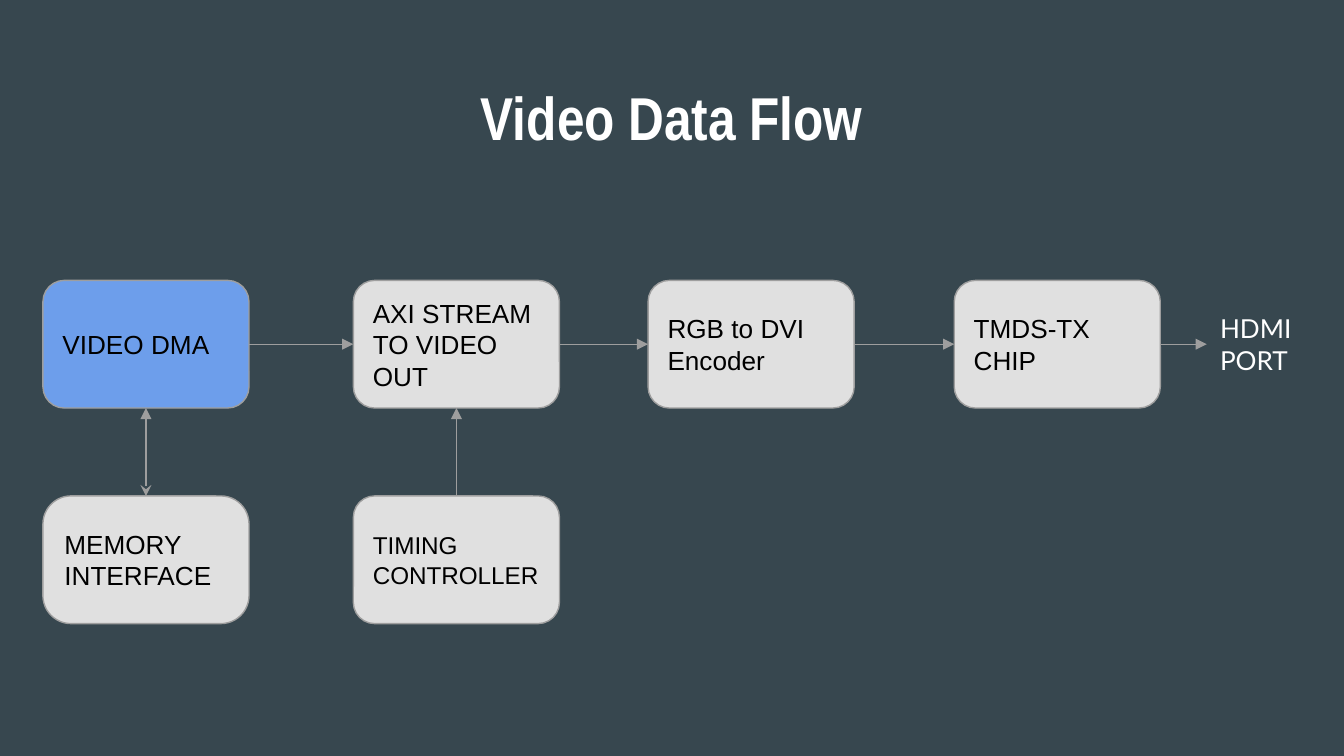
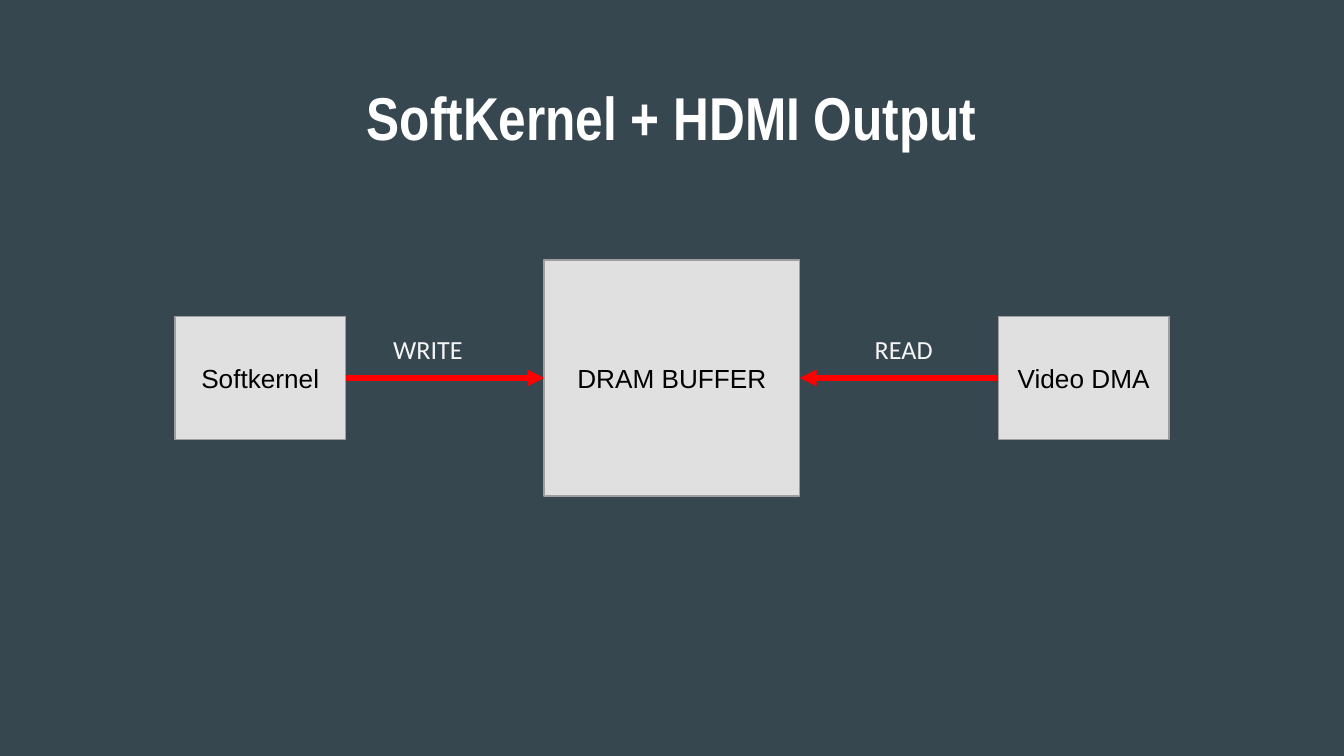
import dataclasses

import pptx
import pptx.dml.color
import pptx.enum.shapes
import pptx.enum.text
import pptx.oxml
import pptx.oxml.ns
import pptx.util

Pt = pptx.util.Pt
RGB = pptx.dml.color.RGBColor.from_string
Shapes = pptx.enum.shapes.MSO_SHAPE
Align = pptx.enum.text.PP_ALIGN
Anchor = pptx.enum.text.MSO_ANCHOR
AutoSize = pptx.enum.text.MSO_AUTO_SIZE


@dataclasses.dataclass(frozen=True)
class Theme:
    background: str = "37474F"
    white: str = "FFFFFF"
    label: str = "F5F5F5"
    ink: str = "000000"
    block: str = "E0E0E0"
    accent: str = "6D9EEB"
    outline: str = "9E9E9E"
    transfer: str = "FF0000"
    title_font: str = "Arial Narrow"
    block_font: str = "Arial"
    port_font: str = "Lato"
    label_font: str = "Calibri"
    title_size: float = 32.4
    body_size: float = 14
    small_size: float = 13
    inset: float = 7.2
    thin: float = 0.75
    thick: float = 3


theme = Theme()

# Connection sites of a rectangle
TOP, LEFT, BOTTOM, RIGHT = range(4)


def add_box(page, kind, text, place, align=Align.LEFT, fill=theme.block,
            font=theme.block_font, size=theme.body_size, color=theme.ink):
    """Add a filled block, or a plain text box when kind is None."""
    lengths = [Pt(value) for value in place]
    if kind is None:
        box = page.shapes.add_textbox(*lengths)
    else:
        box = page.shapes.add_shape(kind, *lengths)
        box.shadow.inherit = False
        box.fill.solid()
        box.fill.fore_color.rgb = RGB(fill)
        box.line.color.rgb = RGB(theme.outline)
        box.line.width = Pt(theme.thin)
    frame = box.text_frame
    frame.word_wrap = True
    frame.auto_size = AutoSize.SHAPE_TO_FIT_TEXT if kind is None else AutoSize.NONE
    frame.vertical_anchor = Anchor.TOP if kind is None else Anchor.MIDDLE
    frame.margin_left = frame.margin_right = Pt(theme.inset)
    frame.margin_top = frame.margin_bottom = Pt(theme.inset)
    for index, words in enumerate(text.split("\n")):
        para = frame.add_paragraph() if index else frame.paragraphs[0]
        para.alignment = align
        span = para.add_run()
        span.text = words
        span.font.name = font
        span.font.size = Pt(size)
        span.font.color.rgb = RGB(color)
    return box


def add_arrow(page, start, start_site, end, end_site,
              color=theme.outline, width=theme.thin, head=None):
    arrow = page.shapes.add_connector(
        pptx.enum.shapes.MSO_CONNECTOR.STRAIGHT, 0, 0, 0, 0)
    arrow.begin_connect(start, start_site)
    arrow.end_connect(end, end_site)
    arrow.line.color.rgb = RGB(color)
    arrow.line.width = Pt(width)
    line = arrow.line._get_or_add_ln()
    for tag, tip in (("a:headEnd", head), ("a:tailEnd", "triangle")):
        if tip:
            mark = pptx.oxml.parse_xml(f"<{tag} {pptx.oxml.ns.nsdecls('a')}/>")
            mark.set("type", tip)
            line.append(mark)
    arrow._element.spPr.append(
        pptx.oxml.parse_xml(f"<a:effectLst {pptx.oxml.ns.nsdecls('a')}/>"))


deck = pptx.Presentation()
deck.slide_width, deck.slide_height = Pt(720), Pt(405)
deck.slide_master.background.fill.solid()
deck.slide_master.background.fill.fore_color.rgb = RGB(theme.background)

pages = []
for heading in ("Video Data Flow", "SoftKernel + HDMI Output"):
    page = deck.slides.add_slide(deck.slide_layouts.get_by_name("Title Only"))
    title = page.shapes.title
    title.left, title.top = Pt(24.5), Pt(35.5)
    title.width, title.height = Pt(671), Pt(45)
    frame = title.text_frame
    frame.word_wrap = True
    frame.auto_size = AutoSize.NONE
    frame.vertical_anchor = Anchor.TOP
    frame.margin_left = frame.margin_right = Pt(theme.inset)
    frame.margin_top = frame.margin_bottom = Pt(theme.inset)
    para = frame.paragraphs[0]
    para.alignment = Align.CENTER
    span = para.add_run()
    span.text = heading
    span.font.name = theme.title_font
    span.font.size = Pt(theme.title_size)
    span.font.bold = True
    span.font.color.rgb = RGB(theme.white)
    pages.append(page)
flow_page, buffer_page = pages

# Video data flow: a chain of stages with two feeding blocks below
stage_width, stage_height = 110.4, 68.4
stage_top, feeder_top = 150.2, 265.7
stages = []
for left, text, fill in (
    (23, "VIDEO DMA", theme.accent),
    (189.3, "AXI STREAM TO VIDEO OUT", theme.block),
    (347.2, "RGB to DVI Encoder", theme.block),
    (511.2, "TMDS-TX CHIP", theme.block),
):
    stages.append(add_box(flow_page, Shapes.ROUNDED_RECTANGLE, text,
                          (left, stage_top, stage_width, stage_height), fill=fill))

port_height = 48
port = add_box(flow_page, None, "HDMI\nPORT",
               (646.5, stage_top + (stage_height - port_height) / 2, 78.5, port_height),
               font=theme.port_font, color=theme.white)
chain = stages + [port]
for start, end in zip(chain, chain[1:]):
    add_arrow(flow_page, start, RIGHT, end, LEFT)

for stage, text, size, corner, head in (
    (stages[0], "MEMORY INTERFACE", theme.body_size, 0.22, "stealth"),
    (stages[1], "TIMING CONTROLLER", theme.small_size, 0.167, None),
):
    feeder = add_box(flow_page, Shapes.ROUNDED_RECTANGLE, text,
                     (stage.left.pt, feeder_top, stage_width, stage_height), size=size)
    feeder.adjustments[0] = corner
    add_arrow(flow_page, feeder, TOP, stage, BOTTOM, head=head)

# Shared buffer: blocks centred on one line, with a writer and a reader
middle = 202.5
blocks = []
for left, width, height, text in (
    (291.5, 137, 126.5, "DRAM BUFFER"),
    (93.7, 91.5, 66, "Softkernel"),
    (534.8, 91.5, 66, "Video DMA"),
):
    blocks.append(add_box(buffer_page, Shapes.RECTANGLE, text,
                          (left, middle - height / 2, width, height), Align.CENTER))
dram, writer, reader = blocks

for block, block_site, dram_site, text, left in (
    (writer, RIGHT, LEFT, "WRITE", 203.5),
    (reader, LEFT, RIGHT, "READ", 461.5),
):
    add_arrow(buffer_page, block, block_site, dram, dram_site,
              theme.transfer, theme.thick)
    add_box(buffer_page, None, text, (left, 171.2, 67, 31.5),
            font=theme.label_font, color=theme.label)

deck.save("out.pptx")
